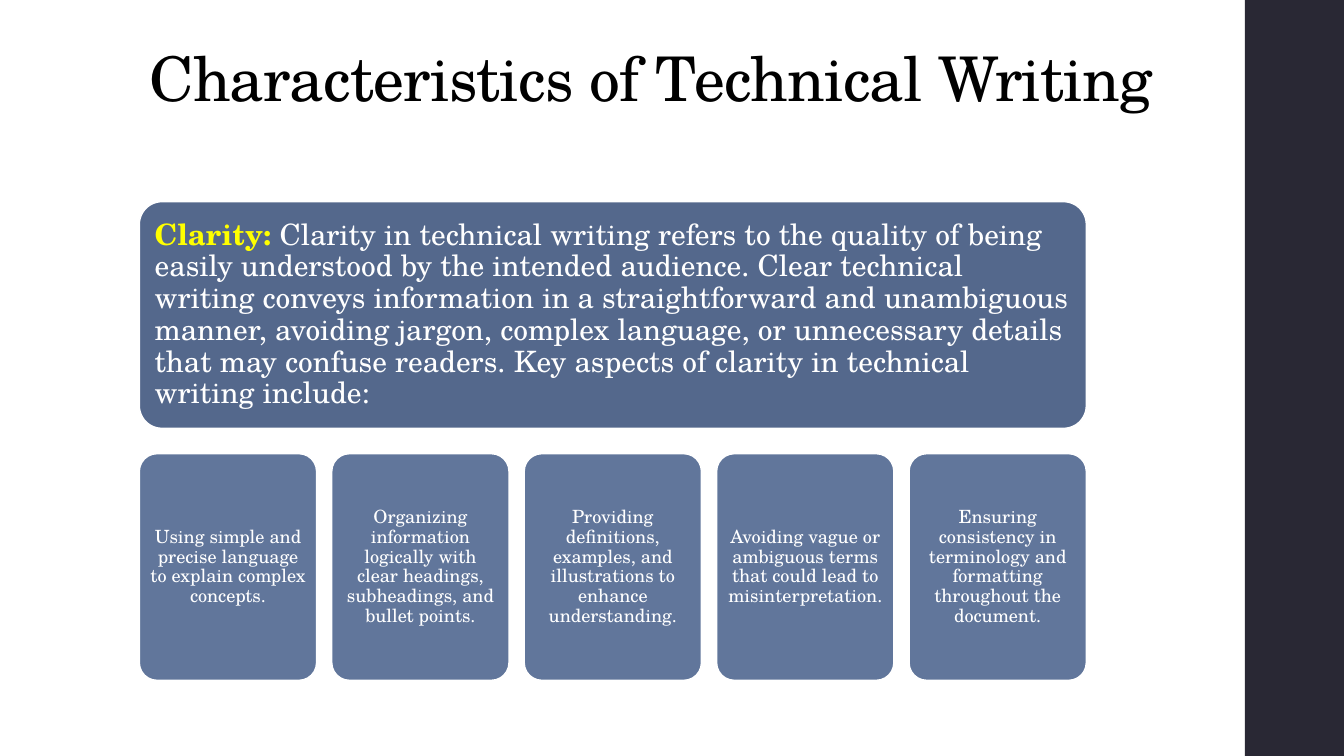
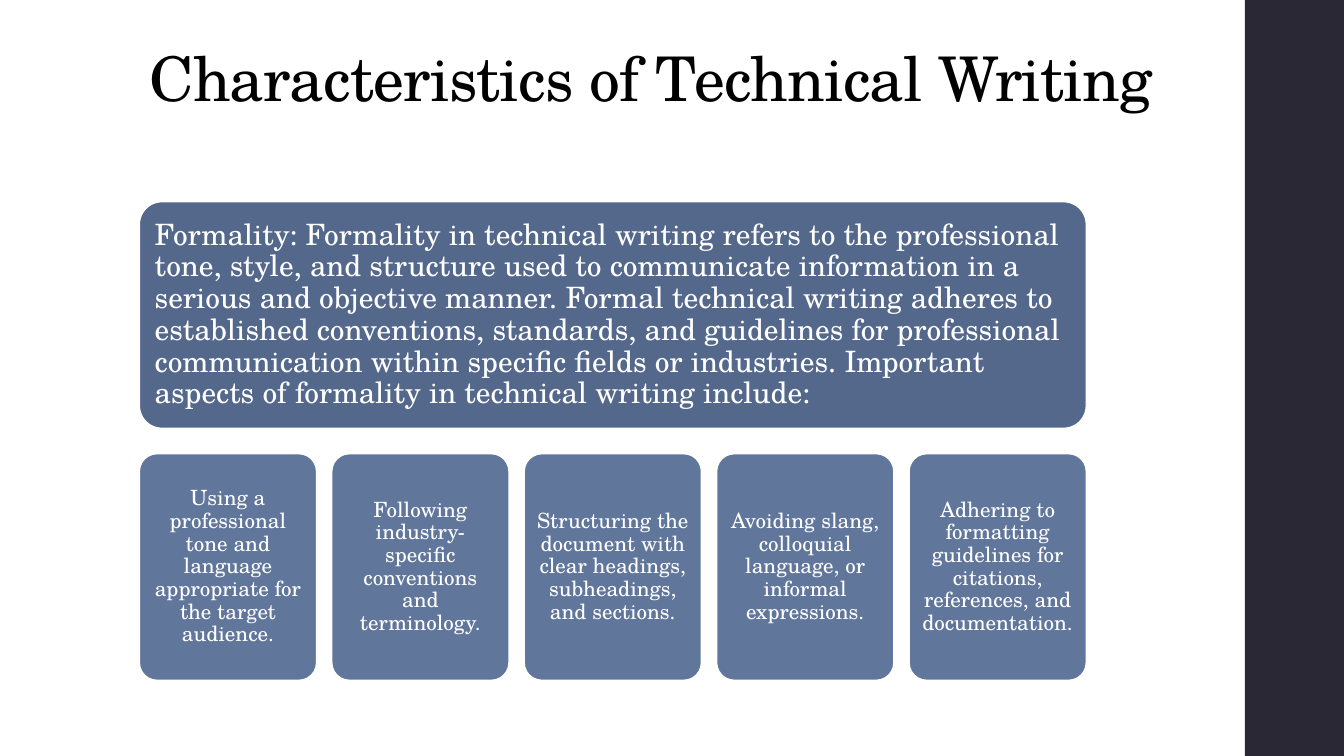
from pptx import Presentation
from pptx.dml.color import RGBColor
from pptx.enum.shapes import MSO_SHAPE
from pptx.enum.text import MSO_ANCHOR, PP_ALIGN
from pptx.util import Pt

RECT, ROUNDED = MSO_SHAPE.RECTANGLE, MSO_SHAPE.ROUNDED_RECTANGLE
LEFT, CENTER = PP_ALIGN.LEFT, PP_ALIGN.CENTER
MIDDLE, BOTTOM = MSO_ANCHOR.MIDDLE, MSO_ANCHOR.BOTTOM

FONT = "TeX Gyre Schola"
COLORS = {
    "white": "FFFFFF",
    "black": "000000",
    "band": "292834",
    "panel": "54688C",
    "card": "61769B",
    "term": "FFFF00",
}
TITLE = "Characteristics of Technical Writing"
W, H = 960, 540
BAND_X = 889.2
X, PANEL_Y, CARD_Y = 99.5, 144, 324
PANEL_W, BOX_H, CARD_W = 676.5, 162, 126.7
PANEL_SIZE = 21

SLIDES = [
    {
        "term": "Clarity: ",
        "intro": "Clarity in technical writing refers to the quality of being easily understood "
                 "by the intended audience. Clear technical writing conveys information in a "
                 "straightforward and unambiguous manner, avoiding jargon, complex language, or "
                 "unnecessary details that may confuse readers. Key aspects of clarity in "
                 "technical writing include:",
        "term_format": {"color": "term", "bold": True},
        "card_size": 13,
        "cards": [
            "Using simple and precise language to explain complex concepts.",
            "Organizing information logically with clear headings, subheadings, and bullet points.",
            "Providing definitions, examples, and illustrations to enhance understanding.",
            "Avoiding vague or ambiguous terms that could lead to misinterpretation.",
            "Ensuring consistency in terminology and formatting throughout the document.",
        ],
    },
    {
        "term": "Formality: ",
        "intro": "Formality in technical writing refers to the professional tone, style, and "
                 "structure used to communicate information in a serious and objective manner. "
                 "Formal technical writing adheres to established conventions, standards, and "
                 "guidelines for professional communication within specific fields or industries. "
                 "Important aspects of formality in technical writing include:",
        "term_format": {"color": "white", "bold": False},
        "card_size": 15,
        "cards": [
            "Using a professional tone and language appropriate for the target audience.",
            "Following industry-specific conventions and terminology.",
            "Structuring the document with clear headings, subheadings, and sections.",
            "Avoiding slang, colloquial language, or informal expressions.",
            "Adhering to formatting guidelines for citations, references, and documentation.",
        ],
    },
]


def add_box(s, kind, x, y, w, h, fill):
    sp = s.shapes.add_shape(kind, Pt(x), Pt(y), Pt(w), Pt(h))
    sp.shadow.inherit = False
    sp.fill.solid()
    sp.fill.fore_color.rgb = RGBColor.from_string(COLORS[fill])
    if kind == ROUNDED:
        sp.adjustments[0] = 0.1
        sp.line.color.rgb = RGBColor.from_string(COLORS["white"])
        sp.line.width = Pt(1.1)
    else:
        sp.line.fill.background()
    return sp


def write(sp, runs, size, align, anchor, margins):
    """Fill a shape with one paragraph; runs are (text, color, bold), margins are (side, top)."""
    side, top = margins
    tf = sp.text_frame
    frame = {"word_wrap": True, "vertical_anchor": anchor,
             "margin_left": Pt(side), "margin_right": Pt(side),
             "margin_top": Pt(top), "margin_bottom": Pt(top)}
    for name, value in frame.items():
        setattr(tf, name, value)
    p = tf.paragraphs[0]
    p.alignment = align
    p.line_spacing = 0.9
    for text, color, bold in runs:
        r = p.add_run()
        r.text = text
        for name, value in {"name": FONT, "size": Pt(size), "bold": bold}.items():
            setattr(r.font, name, value)
        r.font.color.rgb = RGBColor.from_string(COLORS[color])
    return p


prs = Presentation()
prs.slide_width, prs.slide_height = Pt(W), Pt(H)
blank = prs.slide_layouts[6]
pitch = CARD_W + (PANEL_W - 5 * CARD_W) / 4

for content in SLIDES:
    s = prs.slides.add_slide(blank)
    add_box(s, RECT, BAND_X, 0, W - BAND_X, H, "band")

    title = s.shapes.add_textbox(Pt(X), Pt(28.8), Pt(763), Pt(57))
    p = write(title, [(TITLE, "black", False)], 44, LEFT, BOTTOM, (7.2, 3.6))
    p.runs[0].font._element.set("spc", "-50")

    panel = add_box(s, ROUNDED, X, PANEL_Y, PANEL_W, BOX_H, "panel")
    term = content["term_format"]
    runs = [(content["term"], term["color"], term["bold"]), (content["intro"], "white", False)]
    inset = 0.3 * PANEL_SIZE
    write(panel, runs, PANEL_SIZE, LEFT, MIDDLE, (inset, inset))

    size = content["card_size"]
    inset = 0.3 * size
    for i, text in enumerate(content["cards"]):
        card = add_box(s, ROUNDED, X + i * pitch, CARD_Y, CARD_W, BOX_H, "card")
        write(card, [(text, "white", False)], size, CENTER, MIDDLE, (inset, inset))

prs.save("out.pptx")
